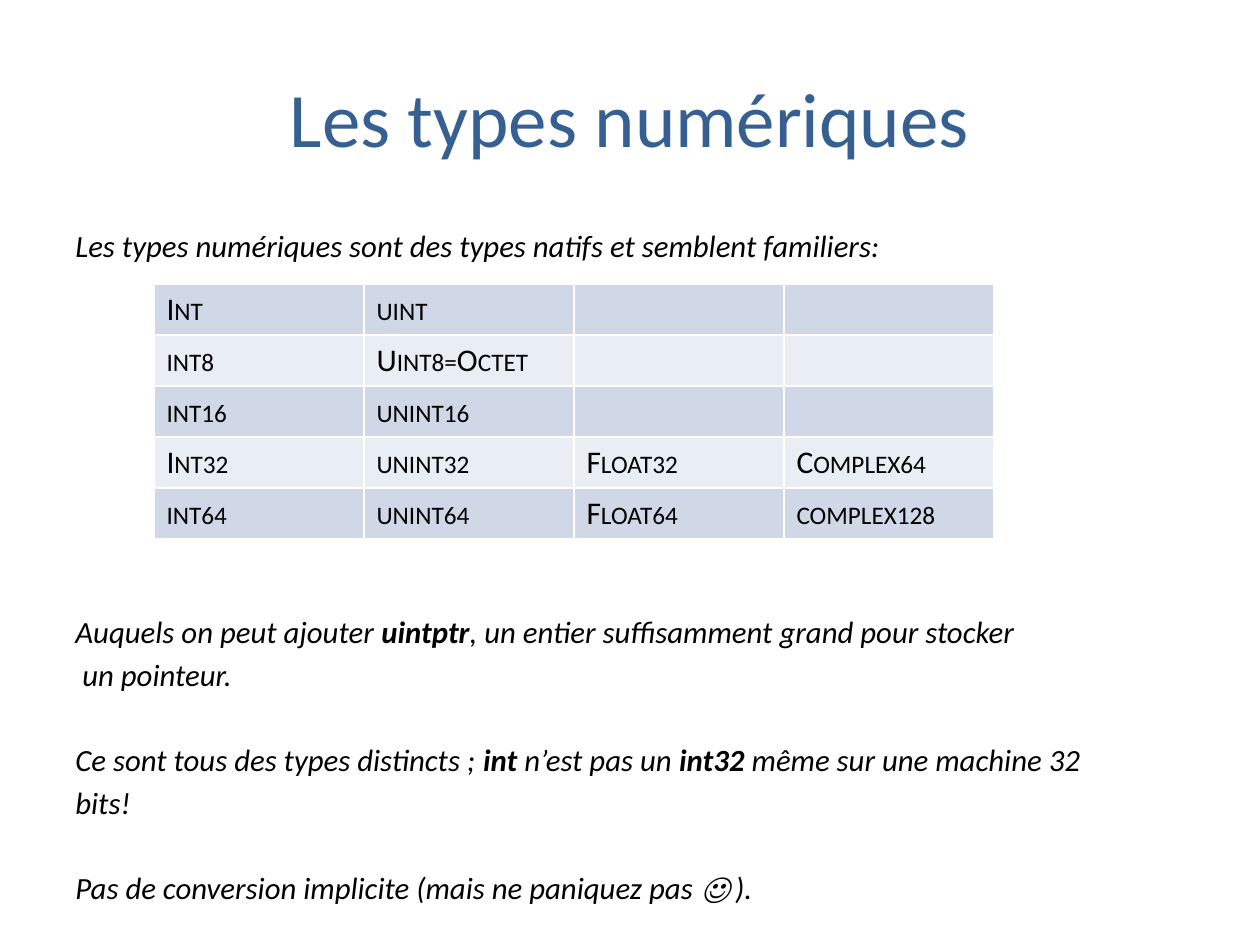
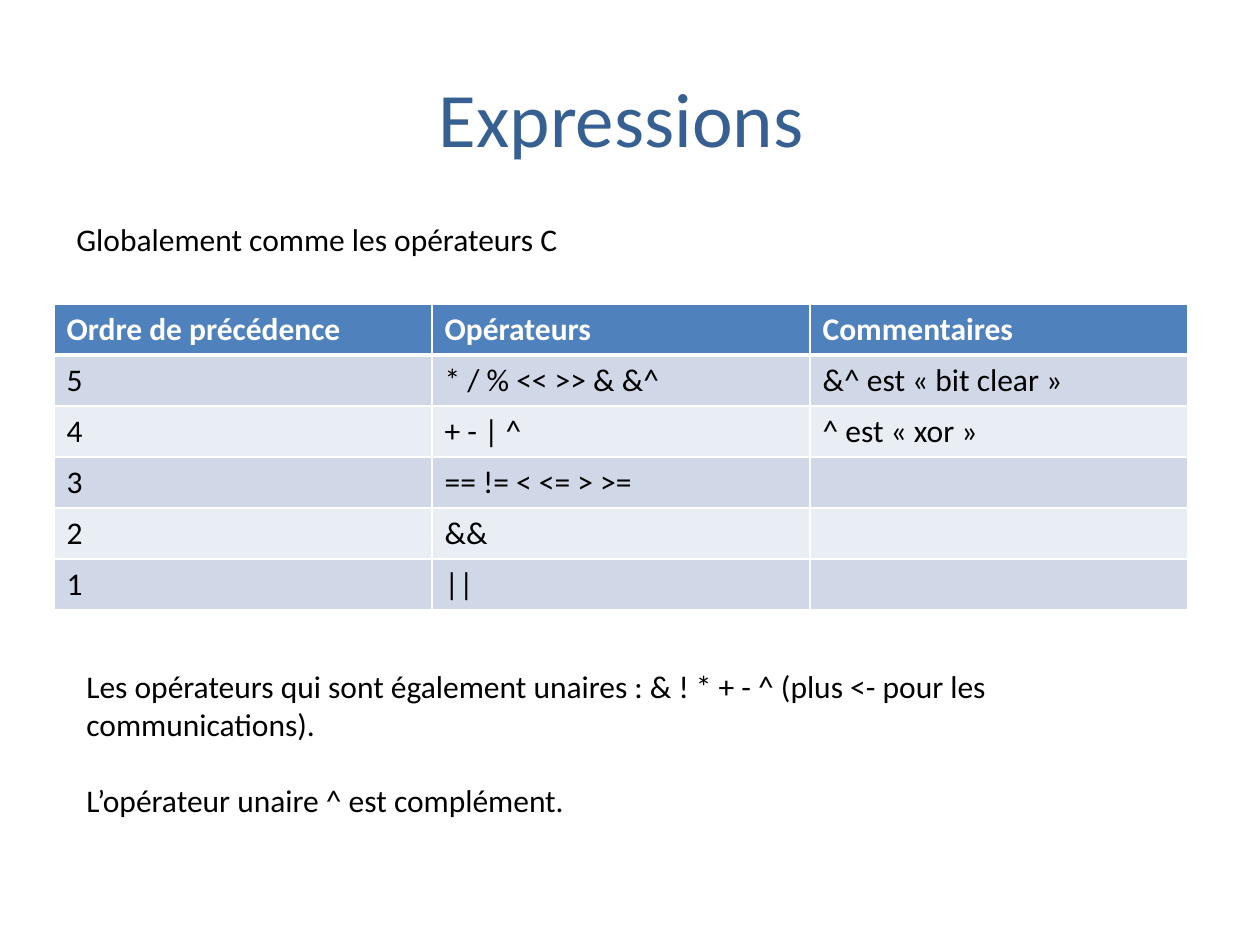
from lxml import etree
from pptx import Presentation
from pptx.dml.color import RGBColor
from pptx.enum.text import MSO_ANCHOR, PP_ALIGN
from pptx.oxml.ns import qn
from pptx.util import Inches, Pt

CENTER, LEFT = PP_ALIGN.CENTER, PP_ALIGN.LEFT
MIDDLE, TOP = MSO_ANCHOR.MIDDLE, MSO_ANCHOR.TOP

PX = Inches(1) / 126
FONT = "Calibri"
COLORS = {
    "title": "376092",
    "text": "000000",
    "white": "FFFFFF",
    "header": "4F81BD",
    "band_dark": "D0D8E8",
    "band_light": "E9EDF4",
}
TITLE_BOX = (63, 38, 1134, 158)
ROW_HEIGHT = 51


def add_text(s, box, paragraphs, size=18, color="text", italic=False, align=LEFT, anchor=TOP):
    tf = s.shapes.add_textbox(*[int(v * PX) for v in box]).text_frame
    tf.word_wrap = True
    tf.vertical_anchor = anchor
    for i, (space, *parts) in enumerate(paragraphs):
        p = tf.add_paragraph() if i else tf.paragraphs[0]
        p.alignment = align
        p.space_before = Pt(space)
        for j, part in enumerate(parts):
            r = p.add_run()
            r.text = part
            r.font.name = FONT
            r.font.size = Pt(size)
            r.font.italic = italic
            r.font.bold = j % 2 == 1
            r.font.color.rgb = RGBColor.from_string(COLORS[color])


def add_grid(s, left, top, col_width, rows, header=False, small_caps=False):
    n_rows, n_cols = len(rows), len(rows[0])
    box = (left, top, col_width * n_cols, ROW_HEIGHT * n_rows)
    table = s.shapes.add_table(n_rows, n_cols, *[int(v * PX) for v in box]).table
    table.first_row = header
    for i, row in enumerate(rows):
        table.rows[i].height = int(ROW_HEIGHT * PX)
        is_header = header and i == 0
        band = "band_dark" if (i - header) % 2 == 0 else "band_light"
        for j, text in enumerate(row):
            cell = table.cell(i, j)
            cell.fill.solid()
            cell.fill.fore_color.rgb = RGBColor.from_string(COLORS["header" if is_header else band])
            cell.text = text
            p = cell.text_frame.paragraphs[0]
            p.font.size = Pt(18)
            for r in p.runs:
                r.font.name = FONT
                r.font.size = Pt(18)
                r.font.bold = is_header
                r.font.color.rgb = RGBColor.from_string(COLORS["white" if is_header else "text"])
                if small_caps:
                    r.font._element.set("cap", "small")
            tc_pr = cell._tc.get_or_add_tcPr()
            for k, side in enumerate(("lnL", "lnR", "lnT", "lnB")):
                thick = header and (i, side) in ((0, "lnB"), (1, "lnT"))
                ln = etree.Element(qn("a:" + side), w=str(Pt(3 if thick else 1)))
                fill = etree.SubElement(ln, qn("a:solidFill"))
                etree.SubElement(fill, qn("a:srgbClr"), val=COLORS["white"])
                tc_pr.insert(k, ln)


prs = Presentation()
prs.slide_width = Inches(10)
prs.slide_height = Inches(7.5)

slides = []
for title in ("Les types numériques", "Expressions "):
    s = prs.slides.add_slide(prs.slide_layouts[6])
    add_text(s, TITLE_BOX, [(0, title)], size=44, color="title", align=CENTER, anchor=MIDDLE)
    slides.append(s)
types_slide, expressions_slide = slides

add_text(types_slide, (63, 220, 1134, 624), [
    (0, "Les types numériques sont des types natifs et semblent familiers:"),
    (200, "Auquels on peut ajouter ", "uintptr", ", un entier suffisamment grand pour stocker"),
    (3.1, " un pointeur."),
    (27.8, "Ce sont tous des types distincts ; ", "int ", "n’est pas un ", "int32 ",
     "même sur une machine 32"),
    (3.1, "bits!"),
    (27.8, "Pas de conversion implicite (mais ne paniquez pas ☺ )."),
], size=17.6, italic=True)
add_grid(types_slide, 154, 284, 210, [
    ("Int", "uint", "", ""),
    ("int8", "Uint8=Octet", "", ""),
    ("int16", "unint16", "", ""),
    ("Int32", "unint32", "Float32", "Complex64"),
    ("int64", "unint64", "Float64", "complex128"),
], small_caps=True)

add_grid(expressions_slide, 54, 304, 378, [
    ("Ordre de précédence", "Opérateurs", "Commentaires"),
    ("5", "* / % << >> & &^", "&^ est « bit clear »"),
    ("4", "+ - | ^", "^ est « xor »"),
    ("3", "== != < <= > >=", ""),
    ("2", "&&", ""),
    ("1", "||", ""),
], header=True)
add_text(expressions_slide, (64, 214, 1091, 50), [(0, "Globalement comme les opérateurs C")])
add_text(expressions_slide, (74, 661, 1111, 165), [
    (0, "Les opérateurs qui sont également unaires : & ! * + - ^ (plus <- pour les communications)."),
    (22, "L’opérateur unaire ^ est complément."),
])

prs.save("out.pptx")
